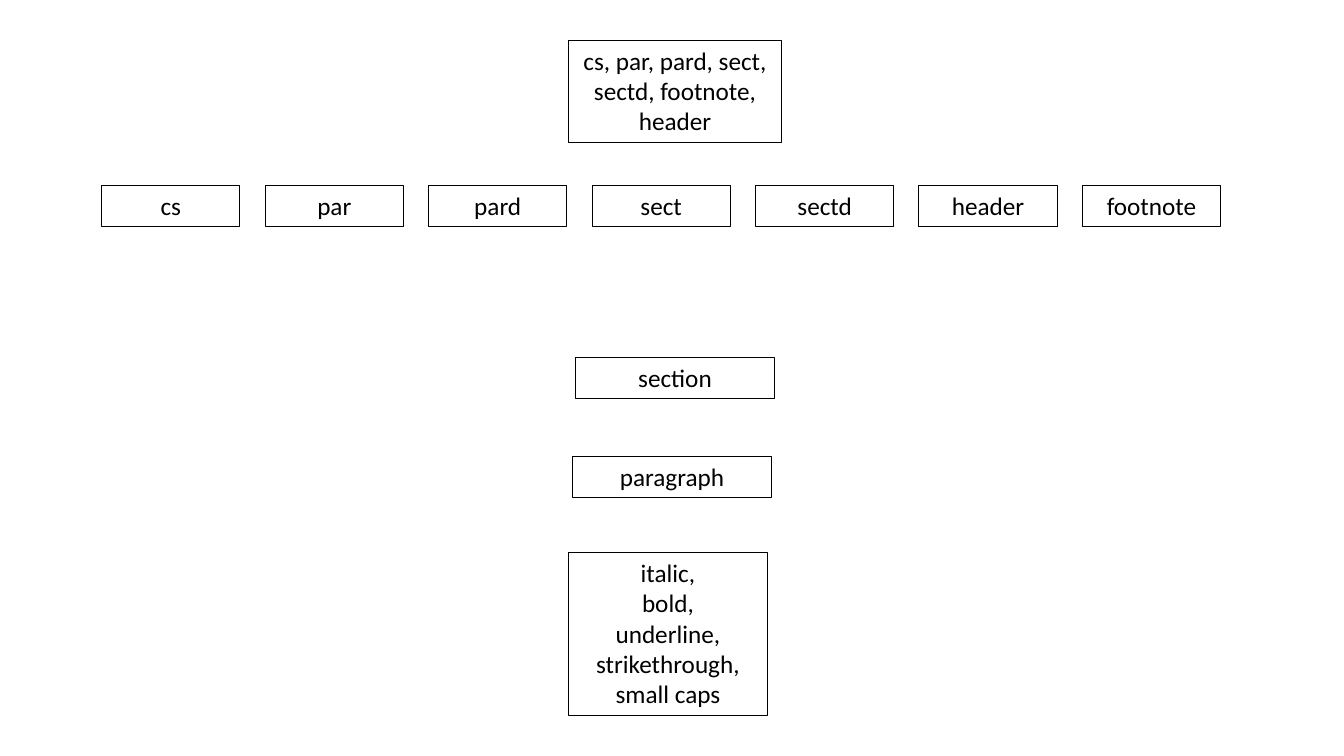
from pptx import Presentation
from pptx.dml.color import RGBColor
from pptx.enum.text import MSO_AUTO_SIZE, PP_ALIGN
from pptx.util import Inches, Pt

CENTER = PP_ALIGN.CENTER
GROW = MSO_AUTO_SIZE.SHAPE_TO_FIT_TEXT
COLORS = {"ink": "000000"}
BLANK = 6
UNIT = 0.1  # inches per grid column and row


def grid(count):
    return Inches(count * UNIT)


def write(frame, text, font="Calibri", size=18, color="ink", align=CENTER):
    frame.word_wrap = True
    frame.auto_size = GROW
    frame.text = text
    for para in frame.paragraphs:
        para.alignment = align
        para.font.name = font
        para.font.size = Pt(size)
        para.font.color.rgb = RGBColor.from_string(COLORS[color])


class Board:
    def __init__(self, slide, line=0.75, color="ink"):
        self.slide = slide
        self.line = line
        self.color = color

    def box(self, text, col, row, wide, high=4.04):
        """Outlined box, placed and sized in grid columns and rows."""
        shape = self.slide.shapes.add_textbox(
            grid(col), grid(row), grid(wide), grid(high))
        shape.line.width = Pt(self.line)
        shape.line.color.rgb = RGBColor.from_string(COLORS[self.color])
        write(shape.text_frame, text)

    def row(self, words, col, row, wide, step):
        for i, word in enumerate(words):
            self.box(word, col + i * step, row, wide)


deck = Presentation()
deck.slide_width = Inches(13.33)
deck.slide_height = Inches(7.5)
board = Board(deck.slides.add_slide(deck.slide_layouts[BLANK]))

# All control words, then one box for each
board.box("cs, par, pard, sect, sectd, footnote, header", 56.4, 4, 21.1, 10.1)
words = ["cs", "par", "pard", "sect", "sectd", "header", "footnote"]
board.row(words, 10.1, 18.4, 13.7, 16.21)

# Levels of the document
board.box("section", 57.1, 35.5, 19.7)
board.box("paragraph", 56.8, 45.3, 19.7)

# Character styles
styles = ["italic", "bold", "underline", "strikethrough", "small caps"]
board.box(",\n".join(styles), 56.4, 54.8, 19.7, 16.2)

deck.save("out.pptx")
